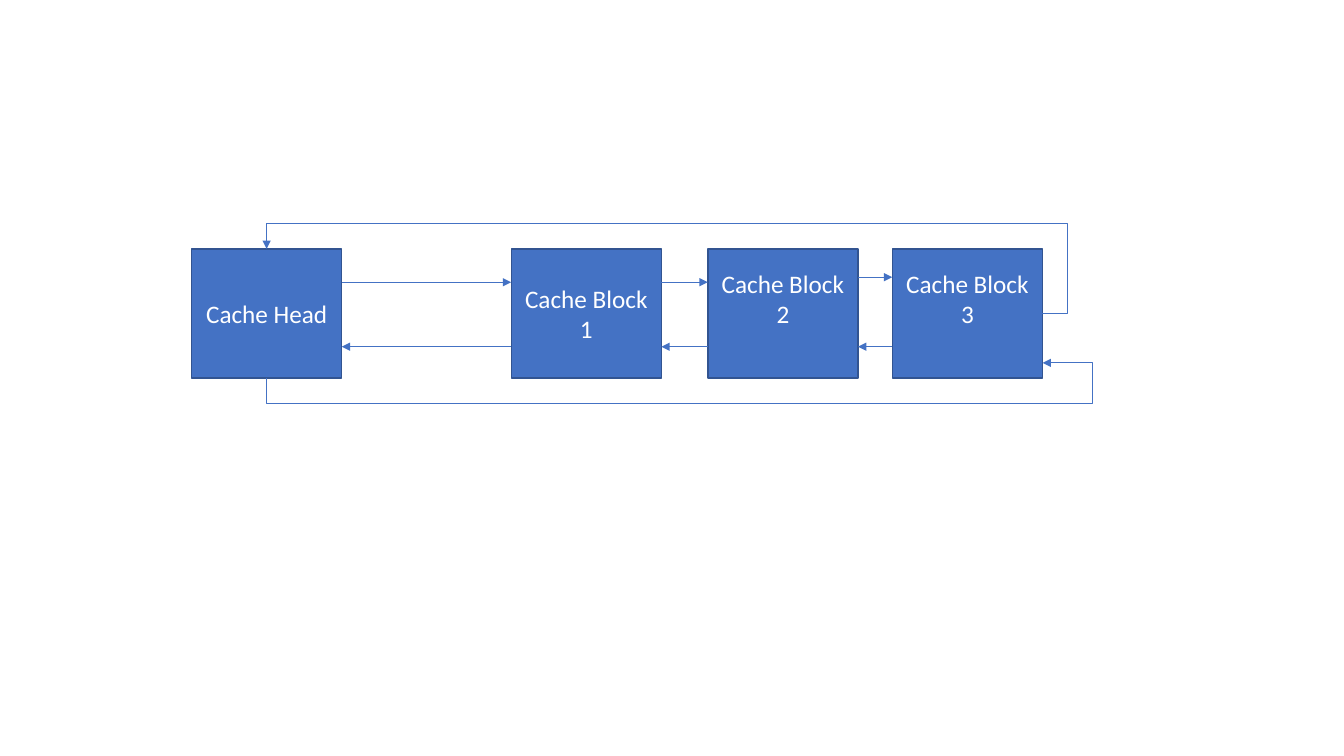
from lxml import etree
from pptx import Presentation
from pptx.dml.color import RGBColor
from pptx.enum.shapes import MSO_CONNECTOR, MSO_SHAPE
from pptx.enum.text import MSO_ANCHOR, PP_ALIGN
from pptx.oxml.ns import qn
from pptx.util import Inches, Pt

RECTANGLE = MSO_SHAPE.RECTANGLE
STRAIGHT, ELBOW = MSO_CONNECTOR.STRAIGHT, MSO_CONNECTOR.ELBOW
MIDDLE, CENTER = MSO_ANCHOR.MIDDLE, PP_ALIGN.CENTER

COLORS = {"block": "4472C4", "border": "325491", "label": "FFFFFF"}
BLOCK_WIDTH, BLOCK_HEIGHT = 1.49, 1.28
BLOCKS = [
    ("Cache Head", 0, 0.05),
    ("Cache Block 1", 3.17, 0.05),
    ("Cache Block 2", 5.12, 0.35),
    ("Cache Block 3", 6.95, 0.35),
]
NEXT_HEIGHTS = [0.33, 0.33, 0.28]
PREVIOUS_HEIGHT = 0.97
LOOP_GAP = 0.25


def rgb(name):
    """Return the named colour."""
    return RGBColor.from_string(COLORS[name])


def apply_format(target, values):
    """Set each attribute of the target from a dict."""
    for attribute, value in values.items():
        setattr(target, attribute, value)


def add_block(slide, label, left, top, bottom_inset):
    """Draw one cache block with its label."""
    block = slide.shapes.add_shape(
        RECTANGLE, Inches(left), Inches(top), Inches(BLOCK_WIDTH), Inches(BLOCK_HEIGHT))
    block.shadow.inherit = False
    block.fill.solid()
    block.fill.fore_color.rgb = rgb("block")
    block.line.color.rgb = rgb("border")
    block.line.width = Pt(1)
    frame = block.text_frame
    apply_format(frame, {"word_wrap": True, "vertical_anchor": MIDDLE,
                         "margin_bottom": Inches(bottom_inset)})
    paragraph = frame.paragraphs[0]
    paragraph.alignment = CENTER
    run = paragraph.add_run()
    run.text = label
    apply_format(run.font, {"name": "Calibri", "size": Pt(18)})
    run.font.color.rgb = rgb("label")


def add_arrow(slide, start, end, kind=STRAIGHT):
    """Draw a thin pointer with a triangle at its end."""
    arrow = slide.shapes.add_connector(kind, *map(Inches, (*start, *end)))
    arrow.line.color.rgb = rgb("block")
    arrow.line.width = Pt(0.5)
    line = arrow.line._get_or_add_ln()
    etree.SubElement(line, qn("a:tailEnd"), type="triangle")
    etree.SubElement(arrow._element.spPr, qn("a:effectLst"))
    return arrow


def add_loop(slide, start, end, bends, rotation=0):
    """Draw a wrap-around pointer with two adjustable bends."""
    loop = add_arrow(slide, start, end, ELBOW)
    loop._element.spPr.find(qn("a:xfrm")).set("rot", str(rotation * 60000))
    geometry = loop._element.spPr.find(qn("a:prstGeom"))
    geometry.set("prst", "bentConnector4")
    guides = geometry.find(qn("a:avLst"))
    for number, bend in enumerate(bends, 1):
        etree.SubElement(guides, qn("a:gd"), name=f"adj{number}",
                         fmla=f"val {round(bend * 100000)}")


def add_cache_list(slide, left, top):
    """Draw the circular doubly linked list of cache blocks."""
    for label, offset, bottom_inset in BLOCKS:
        add_block(slide, label, left + offset, top, bottom_inset)

    for (_, offset, _), (_, next_offset, _), height in zip(BLOCKS, BLOCKS[1:], NEXT_HEIGHTS):
        near, far = left + offset + BLOCK_WIDTH, left + next_offset
        add_arrow(slide, (near, top + height), (far, top + height))
        add_arrow(slide, (far, top + PREVIOUS_HEIGHT), (near, top + PREVIOUS_HEIGHT))

    head_x = left + BLOCK_WIDTH / 2
    last_x = left + BLOCKS[-1][1] + BLOCK_WIDTH
    span, rise = last_x - head_x, BLOCK_HEIGHT / 2
    add_loop(slide, (last_x, top + rise), (head_x, top),
             (-LOOP_GAP / span, 1 + LOOP_GAP / rise))

    climb, overhang = 0.15, 0.49
    center_x, center_y = head_x + span / 2, top + BLOCK_HEIGHT - climb / 2
    add_loop(slide, (center_x + climb / 2, center_y + span / 2),
             (center_x - climb / 2, center_y - span / 2),
             (-LOOP_GAP / climb, 1 + overhang / span), rotation=90)


deck = Presentation()
apply_format(deck, {"slide_width": Inches(13.33), "slide_height": Inches(7.5)})
cache_slide = deck.slides.add_slide(deck.slide_layouts[6])
add_cache_list(cache_slide, 1.9, 2.47)
deck.save("out.pptx")
